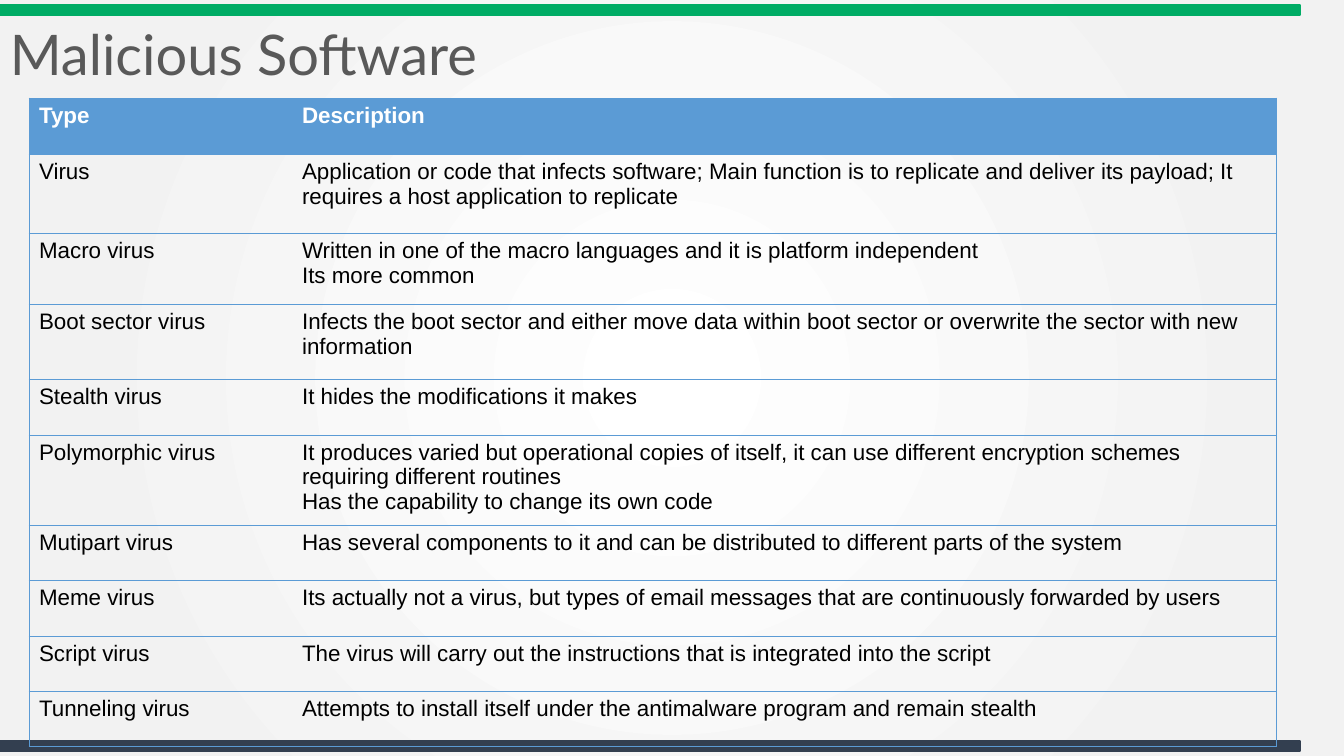
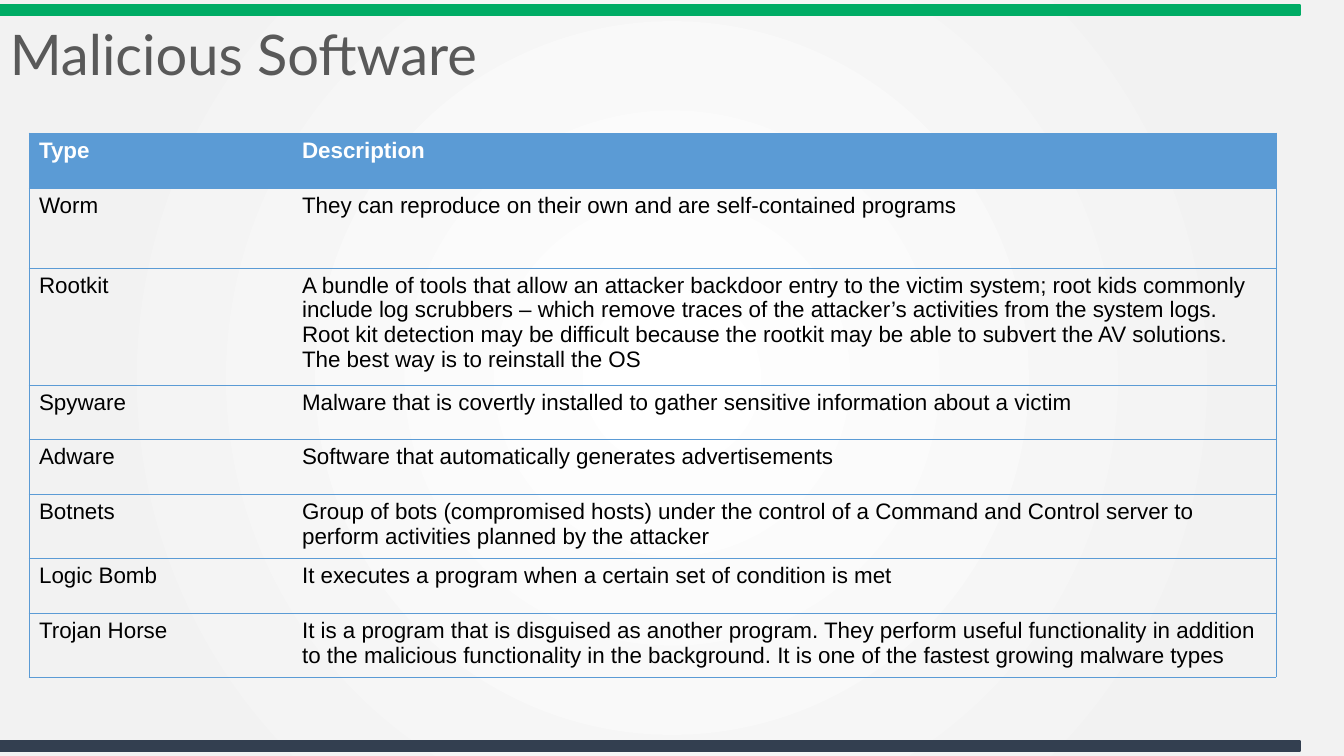
from pptx import Presentation
from pptx.dml.color import RGBColor
from pptx.enum.shapes import MSO_SHAPE
from pptx.enum.text import MSO_ANCHOR
from pptx.oxml import parse_xml
from pptx.oxml.ns import nsdecls, qn
from pptx.util import Emu, Pt

TITLE = "Malicious Software"
HEADER = ("Type", ["Description"])

# Each table: top, then rows of (height, type, description paragraphs)
TABLES = [
    (98, [
        (56, *HEADER),
        (79, "Virus", ["Application or code that infects software; Main function is to replicate "
                       "and deliver its payload; It requires a host application to replicate"]),
        (71, "Macro virus", ["Written in one of the macro languages and it is platform independent",
                             "Its more common"]),
        (75, "Boot sector virus", ["Infects the boot sector and either move data within boot sector "
                                   "or overwrite the sector with new information"]),
        (56, "Stealth virus", ["It hides the modifications it makes"]),
        (85, "Polymorphic virus", ["It produces varied but operational copies of itself, it can use "
                                   "different encryption schemes requiring different routines",
                                   "Has the capability to change its own code"]),
        (55, "Mutipart virus", ["Has several components to it and can be distributed to different "
                                "parts of the system"]),
        (56, "Meme virus", ["Its actually not a virus, but types of email messages that are "
                            "continuously forwarded by users"]),
        (55, "Script virus", ["The virus will carry out the instructions that is integrated into "
                              "the script"]),
        (55, "Tunneling virus", ["Attempts to install itself under the antimalware program and "
                                 "remain stealth"]),
    ]),
    (133, [
        (55, *HEADER),
        (80, "Worm", ["They can reproduce on their own and are self-contained programs"]),
        (109, "Rootkit", ["A bundle of tools that allow an attacker backdoor entry to the victim "
                          "system; root kids commonly include log scrubbers – which remove traces "
                          "of the attacker’s activities from the system logs.",
                          "Root kit detection may be difficult because the rootkit may be able to "
                          "subvert the AV solutions. The best way is to reinstall the OS"]),
        (54, "Spyware", ["Malware that is covertly installed to gather sensitive information about "
                         "a victim"]),
        (55, "Adware", ["Software that automatically generates advertisements"]),
        (60, "Botnets", ["Group of bots (compromised hosts) under the control of a Command and "
                         "Control server to perform activities planned by the attacker"]),
        (55, "Logic Bomb", ["It executes a program when a certain set of condition is met"]),
        (60, "Trojan Horse", ["It is a program that is disguised as another program. They perform "
                              "useful functionality in addition to the malicious functionality in "
                              "the background. It is one of the fastest growing malware types"]),
    ]),
]

COLORS = {"green": "00AC65", "navy": "333F50", "title": "595959", "blue": "5B9BD5",
          "white": "FFFFFF", "black": "000000", "edge": "F2F2F2"}
BANDS = [(5, "green"), (741, "navy")]
BAND_WIDTH, BAND_HEIGHT = 1300, 10
TITLE_BOX = (0, 17, 1304, 81)
TABLE_LEFT = 29
COLUMN_WIDTHS = (263, 984)
SLIDE_SIZE = (1344, 756)
EMU_PER_PIXEL = 914400 / 100.8


def px(pixels):
    """Convert pixels to EMU."""
    return Emu(round(pixels * EMU_PER_PIXEL))


def color(name):
    """Look up a named colour."""
    return RGBColor.from_string(COLORS[name])


def add_run(paragraph, text, font, size, color_name, bold=False):
    """Append one styled run to a paragraph."""
    run = paragraph.add_run()
    run.text = text
    run.font.name = font
    run.font.size = Pt(size)
    run.font.bold = bold
    run.font.color.rgb = color(color_name)


def set_background(slide):
    """Fill the slide with a radial gradient, lightest in the centre."""
    fill = slide.background.fill
    fill.gradient()
    for stop, (position, name) in zip(fill.gradient_stops, [(0, "white"), (0.81, "edge")]):
        stop.position = position
        stop.color.rgb = color(name)
    gradient = slide.element.find(".//" + qn("a:gradFill"))
    gradient.replace(gradient.find(qn("a:lin")), parse_xml(
        f'<a:path {nsdecls("a")} path="circle">'
        '<a:fillToRect l="50000" t="50000" r="50000" b="50000"/></a:path>'))


def add_frame(slide):
    """Add the background, both bands and the title."""
    set_background(slide)
    for top, name in BANDS:
        band = slide.shapes.add_shape(MSO_SHAPE.RECTANGLE, 0, px(top),
                                      px(BAND_WIDTH), px(BAND_HEIGHT))
        band.shadow.inherit = False
        band.fill.solid()
        band.fill.fore_color.rgb = color(name)
        band.line.color.rgb = color(name)
        band.line.width = Pt(1)
    text_frame = slide.shapes.add_textbox(*map(px, TITLE_BOX)).text_frame
    text_frame.word_wrap = True
    text_frame.vertical_anchor = MSO_ANCHOR.MIDDLE
    paragraph = text_frame.paragraphs[0]
    paragraph.line_spacing = 0.9
    add_run(paragraph, TITLE, "Lato", 40, "title")


def set_borders(cell, hidden_side):
    """Draw thin blue borders on every side but the inner one."""
    properties = cell._tc.get_or_add_tcPr()
    for side in "LRTB":
        paint = ("<a:noFill/>" if side == hidden_side else
                 f'<a:solidFill><a:srgbClr val="{COLORS["blue"]}"/></a:solidFill>')
        properties.append(parse_xml(f'<a:ln{side} {nsdecls("a")} w="{Pt(0.5)}">{paint}</a:ln{side}>'))


def fill_cell(cell, texts, is_header, hidden_side):
    """Write a cell's paragraphs and set its borders and fill."""
    set_borders(cell, hidden_side)
    if is_header:
        cell.fill.solid()
        cell.fill.fore_color.rgb = color("blue")
    else:
        cell.fill.background()
    text_frame = cell.text_frame
    for index, text in enumerate(texts):
        paragraph = text_frame.add_paragraph() if index else text_frame.paragraphs[0]
        add_run(paragraph, text, "Arial", 16, "white" if is_header else "black", is_header)


def add_malware_table(slide, top, rows):
    """Add the table of malware types and descriptions."""
    height = sum(row[0] for row in rows)
    table = slide.shapes.add_table(len(rows), len(COLUMN_WIDTHS), px(TABLE_LEFT), px(top),
                                   px(sum(COLUMN_WIDTHS)), px(height)).table
    table.first_row = table.horz_banding = False
    for column, width in zip(table.columns, COLUMN_WIDTHS):
        column.width = px(width)
    for index, (row_height, kind, description) in enumerate(rows):
        table.rows[index].height = px(row_height)
        fill_cell(table.cell(index, 0), [kind], index == 0, "R")
        fill_cell(table.cell(index, 1), description, index == 0, "L")


presentation = Presentation()
presentation.slide_width, presentation.slide_height = map(px, SLIDE_SIZE)
for table_top, table_rows in TABLES:
    new_slide = presentation.slides.add_slide(presentation.slide_layouts[6])
    add_frame(new_slide)
    add_malware_table(new_slide, table_top, table_rows)
presentation.save("out.pptx")
